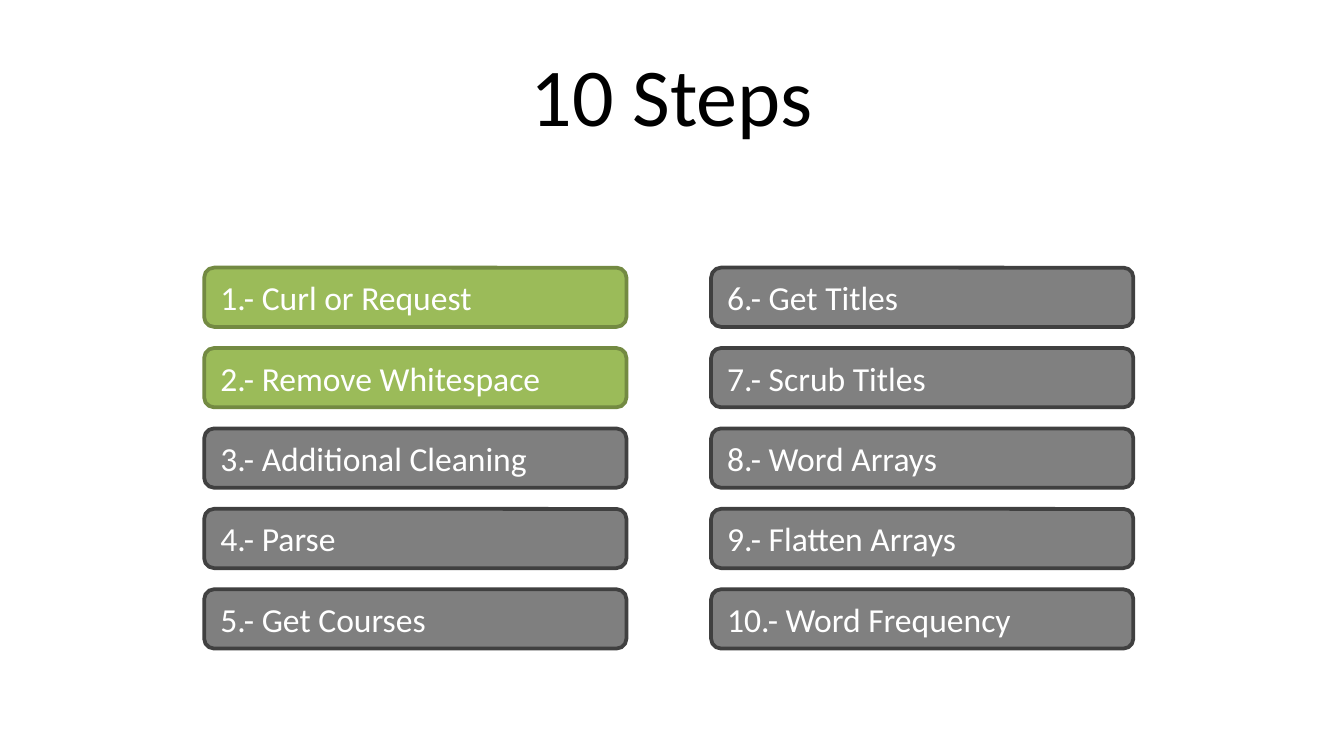
from pptx import Presentation
from pptx import util as u
from pptx.dml.color import RGBColor
from pptx.enum import shapes, text

COLOURS = {
    "title": "000000",
    "label": "FFFFFF",
    "done": "9BBB59",
    "done_edge": "738A42",
    "left_todo": "7F7F7F",
    "right_todo": "808080",
    "todo_edge": "404040",
}
STEPS = [
    "Curl or Request", "Remove Whitespace", "Additional Cleaning", "Parse", "Get Courses",
    "Get Titles", "Scrub Titles", "Word Arrays", "Flatten Arrays", "Word Frequency",
]
DONE_COUNT = 2
ROWS = 5
LEFT, TOP = 3.86, 5.06
WIDTH, HEIGHT = 7.98, 1.12
COLUMN_PITCH, ROW_PITCH = 9.58, 1.52


def colour(name):
    return RGBColor.from_string(COLOURS[name])


def write(box, words, align, size, colour_name):
    """Put one vertically centred line of text into the box."""
    frame = box.text_frame
    frame.word_wrap = True
    frame.vertical_anchor = text.MSO_ANCHOR.MIDDLE
    para = frame.paragraphs[0]
    para.alignment = align
    span = para.add_run()
    span.text = words
    for key, value in {"name": "Calibri", "size": u.Pt(size)}.items():
        setattr(span.font, key, value)
    span.font.color.rgb = colour(colour_name)


deck = Presentation()
deck.slide_width, deck.slide_height = u.Cm(25.4), u.Cm(14.29)
page = deck.slides.add_slide(deck.slide_layouts[6])

title = page.shapes.add_textbox(u.Cm(1.27), u.Cm(0.58), u.Cm(22.86), u.Cm(2.38))
write(title, "10 Steps", text.PP_ALIGN.CENTER, 44, "title")

for index, step in enumerate(STEPS):
    column, row = divmod(index, ROWS)
    box = page.shapes.add_shape(
        shapes.MSO_SHAPE.ROUNDED_RECTANGLE,
        u.Cm(LEFT + column * COLUMN_PITCH), u.Cm(TOP + row * ROW_PITCH),
        u.Cm(WIDTH), u.Cm(HEIGHT),
    )
    done = index < DONE_COUNT
    todo = "right_todo" if column else "left_todo"
    box.shadow.inherit = False
    box.fill.solid()
    box.fill.fore_color.rgb = colour("done" if done else todo)
    box.line.color.rgb = colour("done_edge" if done else "todo_edge")
    box.line.width = u.Pt(2)
    write(box, f"{index + 1}.- {step}", text.PP_ALIGN.LEFT, 18, "label")

deck.save("out.pptx")
